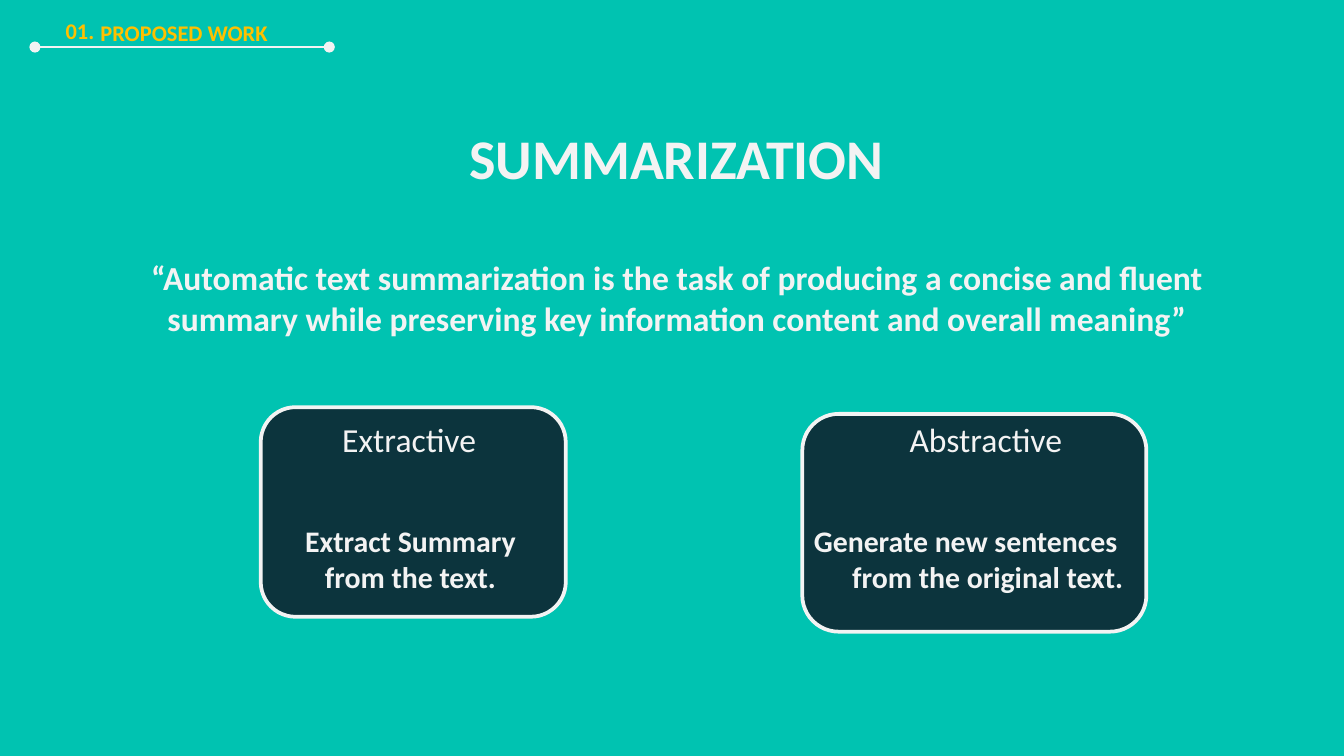
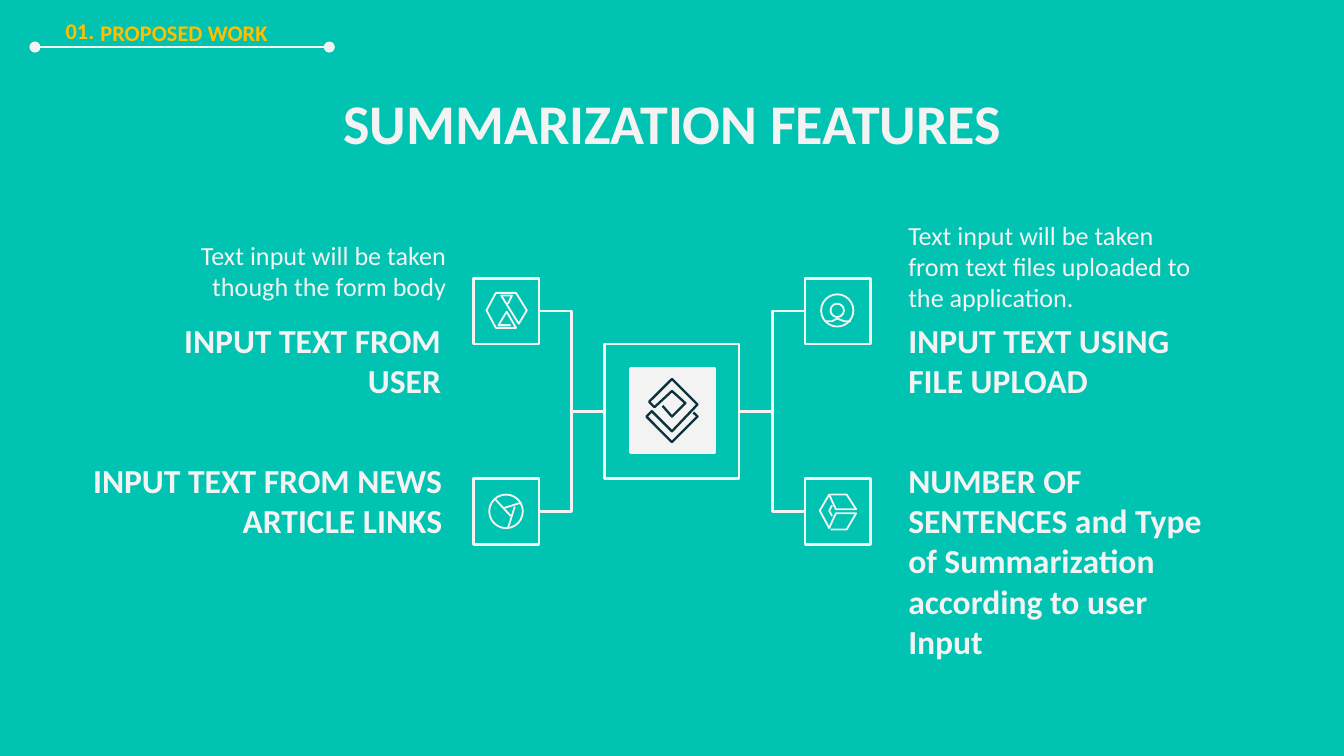
from lxml.etree import SubElement
from pptx import Presentation
from pptx.dml.color import RGBColor
from pptx.enum.shapes import MSO_CONNECTOR, MSO_SHAPE
from pptx.enum.text import MSO_ANCHOR, PP_ALIGN
from pptx.oxml.ns import qn
from pptx.util import Inches, Pt

TEAL = RGBColor(0x00, 0xC3, 0xB1)
NAVY = RGBColor(0x0C, 0x34, 0x3D)
LIGHT = RGBColor(0xF3, 0xF3, 0xF3)
AMBER = RGBColor(0xFF, 0xC0, 0x00)
FONT = "Calibri"

SLIDE_WIDTH = Inches(10)
SLIDE_HEIGHT = SLIDE_WIDTH * 9 // 16

HUB_SIZE = 1
ICON_SIZE = 0.49
LEFT_ICON, RIGHT_ICON = 3.52, 5.99
TOP_ICON, BOTTOM_ICON = 2.07, 3.56

EMBLEM = [(4.93, 3.02), (5, 3.1), (5.1, 3), (5, 2.91), (4.87, 3.03), (4.83, 2.99), (5, 2.82),
          (5.19, 3.01), (5, 3.21), (4.85, 3.06), (4.81, 3.1), (5, 3.29), (5.19, 3.1), (5.16, 3.07)]
HOURGLASS = [(3.8, 2.42), (3.71, 2.42), (3.77, 2.32), (3.84, 2.44), (3.69, 2.44), (3.62, 2.31),
             (3.69, 2.18), (3.84, 2.18), (3.92, 2.31), (3.86, 2.41), (3.73, 2.2), (3.81, 2.2),
             (3.78, 2.26)]
CUBE = [(6.18, 3.68), (6.3, 3.68), (6.37, 3.79), (6.22, 3.79), (6.17, 3.68), (6.1, 3.8),
        (6.17, 3.93), (6.22, 3.82), (6.37, 3.82), (6.3, 3.94), (6.18, 3.94)]
CUBE_EDGE = [(6.19, 3.76), (6.17, 3.8), (6.19, 3.84)]
PIE_CUTS = [[(3.68, 3.71), (3.8, 3.84)],
            [(3.75, 3.78), (3.88, 3.74)],
            [(3.83, 3.77), (3.78, 3.93)]]
SHOULDERS = [(6.14, 2.39), (6.19, 2.39), (6.23, 2.37), (6.28, 2.39), (6.33, 2.39)]


def add_text(slide, box, lines, size, color=LIGHT, bold=True, align=PP_ALIGN.LEFT,
             anchor=MSO_ANCHOR.TOP, hanging=False, space_after=0):
    """Add a wrapped text box with one paragraph per line."""
    frame = slide.shapes.add_textbox(*map(Inches, box)).text_frame
    frame.word_wrap = True
    frame.vertical_anchor = anchor
    frame.margin_left = frame.margin_right = Inches(0.1)
    frame.margin_top = frame.margin_bottom = Inches(0.1)
    for index, line in enumerate(lines):
        paragraph = frame.add_paragraph() if index else frame.paragraphs[0]
        paragraph.text = line
        paragraph.alignment = align
        paragraph.space_after = Pt(space_after)
        if hanging:
            properties = paragraph._p.get_or_add_pPr()
            properties.set("marL", str(Inches(0.5)))
            properties.set("indent", str(Inches(-0.33)))
        font = paragraph.font
        font.name, font.size, font.bold = FONT, Pt(size), bold
        font.color.rgb = color


def style_shape(shape, fill=None, line=LIGHT, width=1.5):
    shape.shadow.inherit = False
    if fill is None:
        shape.fill.background()
    else:
        shape.fill.solid()
        shape.fill.fore_color.rgb = fill
    shape.line.color.rgb = line
    shape.line.width = Pt(width)


def add_outline(slide, kind, box, **style):
    shape = slide.shapes.add_shape(kind, *map(Inches, box))
    style_shape(shape, **style)
    return shape


def add_stroke(slide, points, color=LIGHT, width=1):
    """Draw an open polyline through points given in inches."""
    start, *rest = [(Inches(x), Inches(y)) for x, y in points]
    builder = slide.shapes.build_freeform(*start)
    builder.add_line_segments(rest, close=False)
    style_shape(builder.convert_to_shape(), line=color, width=width)


def add_line(slide, kind, start, end):
    connector = slide.shapes.add_connector(kind, *map(Inches, start + end))
    connector.line.color.rgb = LIGHT
    connector.line.width = Pt(1.5)
    SubElement(connector._element.spPr, qn("a:effectLst"))
    return connector


def add_section_header(slide):
    add_text(slide, (0.16, 0.07, 2.42, 0.34), ["PROPOSED WORK"], 12, AMBER,
             align=PP_ALIGN.CENTER, anchor=MSO_ANCHOR.MIDDLE)
    add_text(slide, (0.39, 0.04, 1.29, 0.19), ["01."], 12, AMBER)
    rule = add_line(slide, MSO_CONNECTOR.STRAIGHT, (0.26, 0.35), (2.45, 0.35))
    outline = rule.line._get_or_add_ln()
    for end in ("a:headEnd", "a:tailEnd"):
        SubElement(outline, qn(end), type="oval")


def add_slide(presentation, title, left, top, anchor):
    slide = presentation.slides.add_slide(presentation.slide_layouts[6])
    slide.background.fill.solid()
    slide.background.fill.fore_color.rgb = TEAL
    add_text(slide, (left, top, 8.43, 0.63), [title], 30, align=PP_ALIGN.CENTER, anchor=anchor)
    return slide


def add_card(slide, card_box, heading_left, heading, body_box, body):
    add_outline(slide, MSO_SHAPE.ROUNDED_RECTANGLE, card_box, fill=NAVY, width=2)
    add_text(slide, (heading_left, 3.03, 1.86, 0.49), [heading], 18, bold=False,
             align=PP_ALIGN.CENTER, anchor=MSO_ANCHOR.BOTTOM, hanging=True)
    add_text(slide, body_box, body, 16, align=PP_ALIGN.CENTER, hanging=True)


def add_feature_diagram(slide):
    """Draw the central hub and the four icon frames joined to it."""
    hub = add_outline(slide, MSO_SHAPE.RECTANGLE, (4.5, 2.56, HUB_SIZE, HUB_SIZE))
    add_outline(slide, MSO_SHAPE.RECTANGLE, (4.69, 2.74, 0.63, 0.63), fill=LIGHT)
    for left, frame_side, hub_side in ((LEFT_ICON, 3, 1), (RIGHT_ICON, 1, 3)):
        for top in (TOP_ICON, BOTTOM_ICON):
            frame = add_outline(slide, MSO_SHAPE.RECTANGLE, (left, top, ICON_SIZE, ICON_SIZE))
            link = add_line(slide, MSO_CONNECTOR.ELBOW, (left, top), (4.5, 3.06))
            link.begin_connect(frame, frame_side)
            link.end_connect(hub, hub_side)


def add_icons(slide):
    add_stroke(slide, EMBLEM, NAVY, 1.25)
    for points in (HOURGLASS, CUBE, CUBE_EDGE, SHOULDERS, *PIE_CUTS):
        add_stroke(slide, points)
    for left, top, diameter in ((3.64, 3.68, 0.25), (6.11, 2.19, 0.24), (6.18, 2.26, 0.1)):
        add_outline(slide, MSO_SHAPE.OVAL, (left, top, diameter, diameter), width=1)


def build_summarization(presentation):
    slide = add_slide(presentation, "SUMMARIZATION", 0.82, 0.89, MSO_ANCHOR.BOTTOM)
    add_text(slide, (0.62, 1.56, 8.84, 1.31),
             ["“Automatic text summarization is the task of producing a concise and fluent "
              "summary while preserving key information content and overall meaning”"],
             18, align=PP_ALIGN.CENTER, anchor=MSO_ANCHOR.MIDDLE)
    add_card(slide, (1.94, 3.03, 2.27, 1.56), 2.03, "Extractive",
             (1.48, 3.79, 2.98, 0.81), ["Extract Summary", "from the text."])
    add_card(slide, (5.97, 3.08, 2.56, 1.62), 6.32, "Abstractive",
             (5.54, 3.79, 3.12, 0.81), ["Generate new sentences\vfrom the original text."])
    add_section_header(slide)


def build_features(presentation):
    slide = add_slide(presentation, "SUMMARIZATION FEATURES", 0.79, 0.56, MSO_ANCHOR.TOP)
    add_feature_diagram(slide)
    add_icons(slide)
    right, left = PP_ALIGN.RIGHT, PP_ALIGN.LEFT
    middle, top = MSO_ANCHOR.MIDDLE, MSO_ANCHOR.TOP
    descriptions = (
        ((0.98, 1.68, 2.44, 0.49), right, "Text input will be taken though the form body"),
        ((6.66, 1.53, 2.4, 0.49), left,
         "Text input will be taken from text files uploaded to the application."),
    )
    for box, align, text in descriptions:
        add_text(slide, box, [text], 14, bold=False, align=align, space_after=16)
    headings = (
        ((0.94, 2.48, 2.44, 0.4), right, middle, "INPUT TEXT FROM USER"),
        ((6.66, 2.48, 2.4, 0.4), left, middle, "INPUT TEXT USING FILE UPLOAD"),
        ((0.43, 3.32, 2.96, 0.41), right, top, "INPUT TEXT FROM NEWS ARTICLE LINKS"),
        ((6.66, 3.32, 2.4, 1.58), left, top,
         "NUMBER OF SENTENCES and Type of Summarization according to user Input"),
    )
    for box, align, anchor, text in headings:
        add_text(slide, box, [text], 18, align=align, anchor=anchor, space_after=16)
    add_section_header(slide)


def main():
    presentation = Presentation()
    presentation.slide_width = SLIDE_WIDTH
    presentation.slide_height = SLIDE_HEIGHT
    build_summarization(presentation)
    build_features(presentation)
    presentation.save("out.pptx")


if __name__ == "__main__":
    main()
